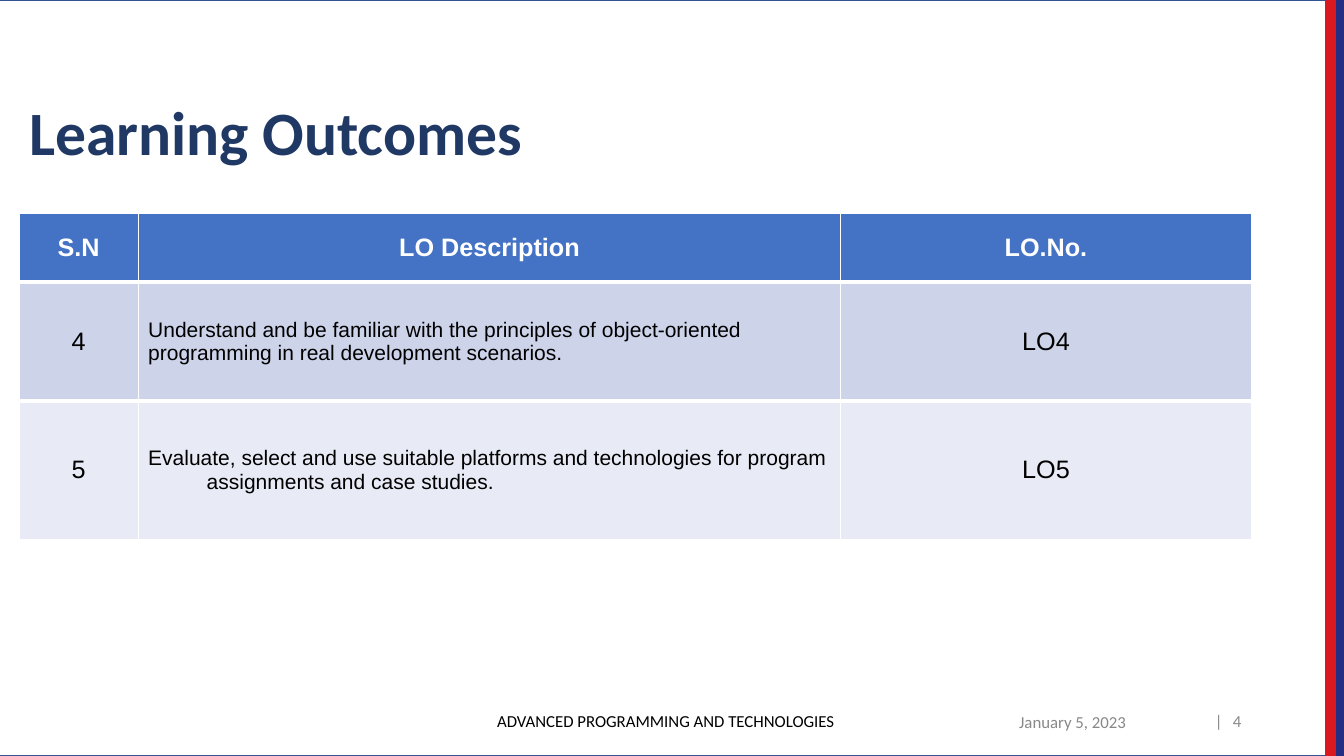
from lxml.etree import SubElement
from pptx import Presentation
from pptx.dml.color import RGBColor
from pptx.enum.shapes import MSO_SHAPE
from pptx.enum.text import MSO_ANCHOR as ANCHOR, PP_ALIGN as ALIGN
from pptx.oxml import parse_xml
from pptx.oxml.ns import nsdecls, qn
from pptx.util import Inches, Pt

WHITE = RGBColor(0xFF, 0xFF, 0xFF)
BLACK = RGBColor(0x00, 0x00, 0x00)
GREY = RGBColor(0x88, 0x88, 0x88)
NAVY = RGBColor(0x1F, 0x38, 0x64)
FRAME_BLUE = RGBColor(0x31, 0x53, 0x8F)
STRIPE_BLUE = RGBColor(0x23, 0x2D, 0x82)
STRIPE_RED = RGBColor(0xDA, 0x18, 0x20)
HEADER_BLUE = RGBColor(0x44, 0x72, 0xC4)
BAND_DARK = RGBColor(0xCD, 0xD4, 0xEA)
BAND_LIGHT = RGBColor(0xE8, 0xEB, 0xF5)

prs = Presentation()
prs.slide_width, prs.slide_height = Inches(13.33), Inches(7.5)
slide = prs.slides.add_slide(prs.slide_layouts[6])

# Background panel and the two stripes at the right edge
for left, width, fill, outline in [
    (-0.09, 13.24, WHITE, FRAME_BLUE),
    (13.24, 0.09, STRIPE_BLUE, STRIPE_BLUE),
    (13.15, 0.09, STRIPE_RED, STRIPE_RED),
]:
    panel = slide.shapes.add_shape(
        MSO_SHAPE.RECTANGLE, Inches(left), 0, Inches(width), prs.slide_height)
    panel.shadow.inherit = False
    panel.fill.solid()
    panel.fill.fore_color.rgb = fill
    panel.line.color.rgb = outline
    panel.line.width = Pt(1)

# Learning outcomes table
outcomes = [
    ("S.N", "LO Description", "LO.No."),
    ("4", "Understand and be familiar with the principles of object-oriented "
          "programming in real development scenarios.", "LO4"),
    ("5", "Evaluate, select and use suitable platforms and technologies for "
          "program assignments and case studies.", "LO5"),
]
col_widths = [1.18, 6.97, 4.07]
row_heights = [0.68, 1.18, 1.37]
row_fills = [HEADER_BLUE, BAND_DARK, BAND_LIGHT]
last_row = len(outcomes) - 1

table = slide.shapes.add_table(
    len(outcomes), len(col_widths), Inches(0.19), Inches(2.12),
    Inches(sum(col_widths)), Inches(sum(row_heights))).table
for column, width in zip(table.columns, col_widths):
    column.width = Inches(width)

for r, texts in enumerate(outcomes):
    table.rows[r].height = Inches(row_heights[r])
    for c, text in enumerate(texts):
        is_description = r > 0 and c == 1
        cell = table.cell(r, c)
        cell.vertical_anchor = ANCHOR.MIDDLE
        cell.fill.solid()
        cell.fill.fore_color.rgb = row_fills[r]
        cell.text_frame.text = text
        paragraph = cell.text_frame.paragraphs[0]
        paragraph.alignment = ALIGN.LEFT if is_description else ALIGN.CENTER
        if is_description and r == last_row:
            hanging = Inches(0.58)
            paragraph_props = paragraph._p.get_or_add_pPr()
            paragraph_props.set("marL", str(hanging))
            paragraph_props.set("indent", str(-hanging))
        font = paragraph.runs[0].font
        font.name = "Arial"
        font.size = Pt(15 if is_description else 18)
        font.bold = r == 0
        font.color.rgb = WHITE if r == 0 else BLACK

        # Thick rules between rows, thin ones elsewhere
        borders = {"lnL": 1, "lnR": 1, "lnT": 3 if r > 0 else 1,
                   "lnB": 3 if r < last_row else 1}
        for position, (side, points) in enumerate(borders.items()):
            cell._tc.get_or_add_tcPr().insert(position, parse_xml(
                f'<a:{side} {nsdecls("a")} w="{Pt(points)}"><a:solidFill>'
                f'<a:srgbClr val="{WHITE}"/></a:solidFill></a:{side}>'))

# Title and footer
for text, box, size, color, anchor, align in [
    ("Learning Outcomes", (0.19, 0.27, 12.23, 1.45), 44, NAVY,
     ANCHOR.BOTTOM, ALIGN.LEFT),
    ("January 5, 2023", (10.01, 6.96, 1.47, 0.4), 12, GREY,
     ANCHOR.MIDDLE, ALIGN.LEFT),
    ("ADVANCED PROGRAMMING AND TECHNOLOGIES", (3.47, 6.95, 6.27, 0.4), 12,
     BLACK, ANCHOR.MIDDLE, ALIGN.CENTER),
    ("|\t4", (11.95, 6.95, 0.47, 0.4), 12, GREY, ANCHOR.MIDDLE, ALIGN.LEFT),
]:
    frame = slide.shapes.add_textbox(*map(Inches, box)).text_frame
    frame.word_wrap = True
    frame.vertical_anchor = anchor
    frame.text = text
    paragraph = frame.paragraphs[0]
    paragraph.alignment = align
    if "\t" in text:
        tabs = SubElement(paragraph._p.get_or_add_pPr(), qn("a:tabLst"))
        SubElement(tabs, qn("a:tab"), pos=str(Inches(0.18)), algn="l")
    if anchor == ANCHOR.BOTTOM:
        paragraph.line_spacing = 0.9
    font = paragraph.runs[0].font
    font.name = "Calibri"
    font.size = Pt(size)
    font.bold = anchor == ANCHOR.BOTTOM
    font.color.rgb = color

prs.save("out.pptx")
